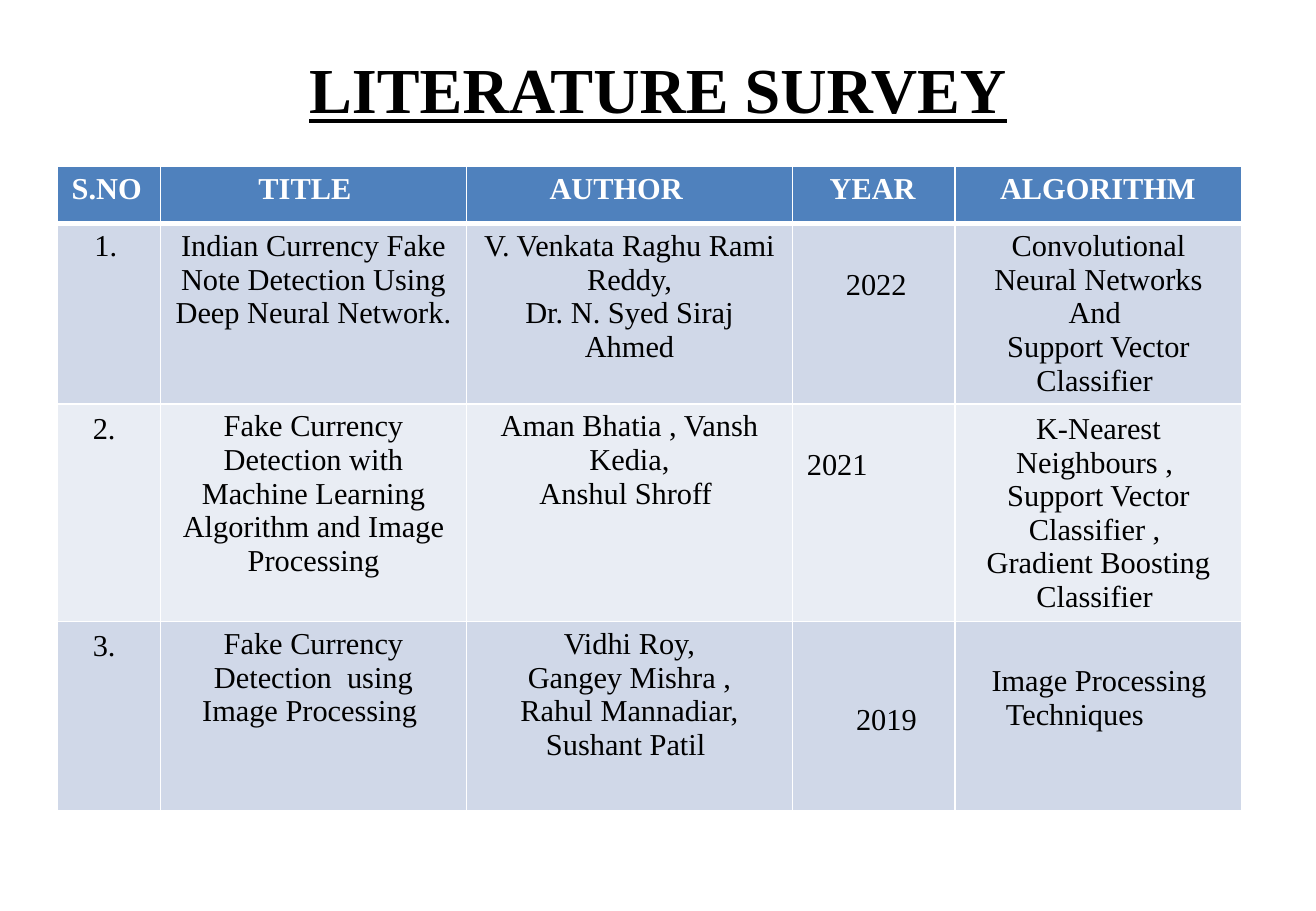
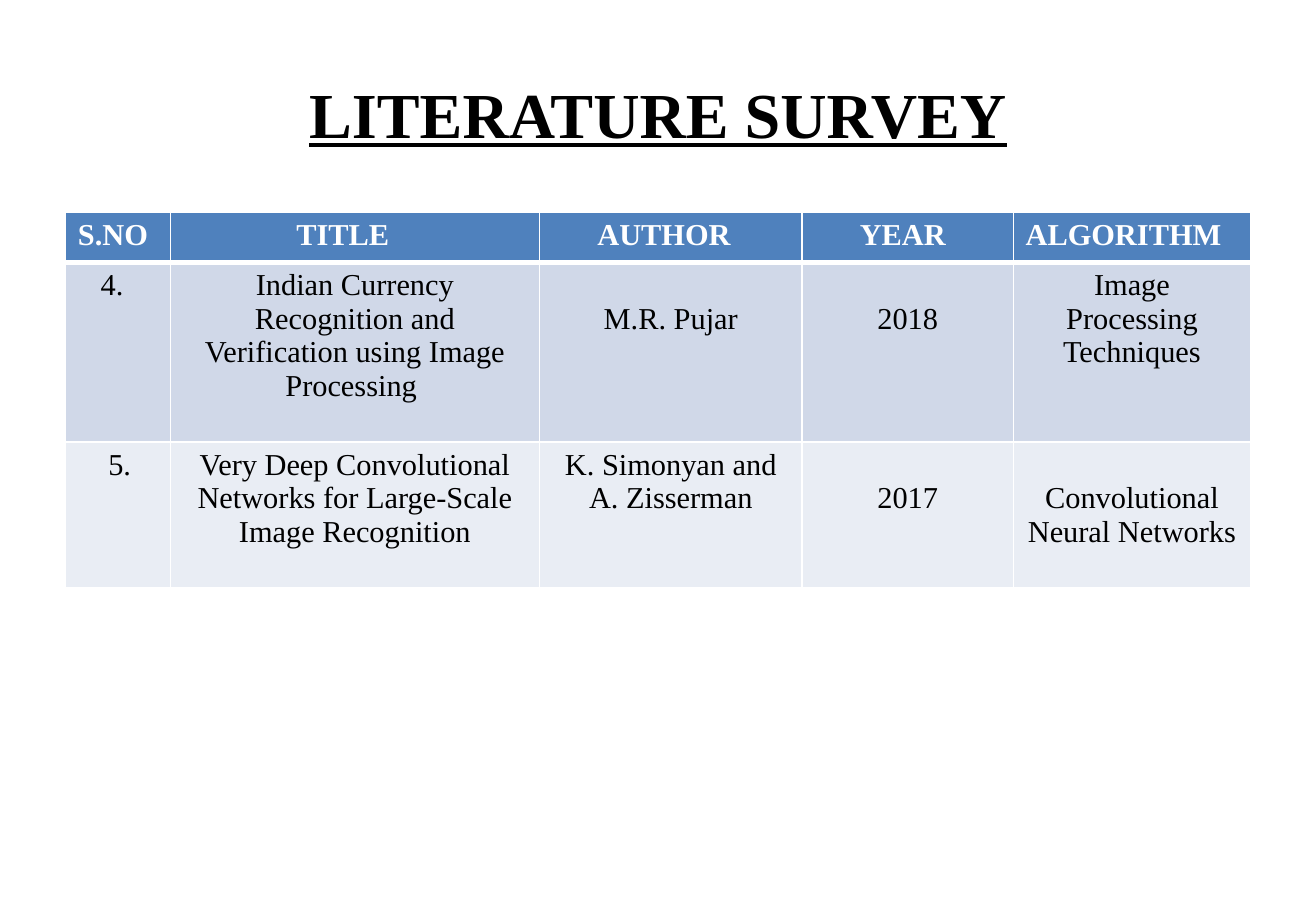
import dataclasses

import lxml.etree
import pptx
import pptx.dml.color
import pptx.enum.text
import pptx.oxml.ns
import pptx.util

ALIGN = pptx.enum.text.PP_ALIGN
COLOURS = {
    "black": "000000",
    "white": "FFFFFF",
    "header": "4F81BD",
    "odd row": "D0D8E8",
    "even row": "E9EDF4",
}


@dataclasses.dataclass
class Entry:
    """Cell text; indent, first line offset and drop are in points."""
    text: str
    indent: float = 0
    first_line: float = 0
    drop: float = 0
    align: int = ALIGN.CENTER


def left(text, indent=0, first_line=0, drop=0):
    return Entry(text, indent, first_line, drop, ALIGN.LEFT)


class Deck:
    """Shared style and the current slide; lengths are percent of the slide."""
    font = "Times New Roman"
    title_size = 38
    table_size = 18

    def __init__(self, width, height):
        self.presentation = pptx.Presentation()
        self.presentation.slide_width = pptx.util.Inches(width)
        self.presentation.slide_height = pptx.util.Inches(height)
        self.slide = None

    def across(self, percent):
        return round(self.presentation.slide_width * percent / 100)

    def down(self, percent):
        return round(self.presentation.slide_height * percent / 100)

    def colour(self, name):
        return pptx.dml.color.RGBColor.from_string(COLOURS[name])

    def format_runs(self, paragraph, size, colour, bold=False, underline=False):
        for run in paragraph.runs:
            run.font.name = self.font
            run.font.size = pptx.util.Pt(size)
            run.font.bold = bold
            run.font.underline = underline
            run.font.color.rgb = self.colour(colour)

    def add_slide(self, title, title_height):
        layout = self.presentation.slide_layouts[5]
        self.slide = self.presentation.slides.add_slide(layout)
        shape = self.slide.shapes.title
        shape.left, shape.top = self.across(5), self.down(4)
        shape.width, shape.height = self.across(90), self.down(title_height)
        text_frame = shape.text_frame
        text_frame.text = title
        text_frame.word_wrap = True
        text_frame.auto_size = pptx.enum.text.MSO_AUTO_SIZE.NONE
        text_frame.vertical_anchor = pptx.enum.text.MSO_ANCHOR.MIDDLE
        text_frame.margin_left = text_frame.margin_right = pptx.util.Inches(0.09)
        text_frame.margin_top = text_frame.margin_bottom = pptx.util.Inches(0.04)
        paragraph = text_frame.paragraphs[0]
        paragraph.alignment = ALIGN.CENTER
        self.format_runs(paragraph, self.title_size, "black", True, True)

    def add_table(self, x, y, columns, rows, entries, side_margin):
        table = self.slide.shapes.add_table(
            len(rows), len(columns), self.across(x), self.down(y),
            self.across(sum(columns)), self.down(sum(rows))).table
        for column, width in zip(table.columns, columns):
            column.width = self.across(width)
        for row, height in zip(table.rows, rows):
            row.height = self.down(height)
        for row_index, row_entries in enumerate(entries):
            for column_index, entry in enumerate(row_entries):
                cell = table.cell(row_index, column_index)
                cell.margin_left = cell.margin_right = pptx.util.Inches(side_margin)
                self.fill_cell(cell, entry, row_index)

    def fill_cell(self, cell, entry, row_index):
        if isinstance(entry, str):
            entry = Entry(entry)
        header = row_index == 0
        # Thick rule between the header and the first row
        self.add_border(cell, top=3 if row_index == 1 else 1,
                        bottom=3 if header else 1)
        cell.fill.solid()
        cell.fill.fore_color.rgb = self.colour(
            "header" if header else "odd row" if row_index % 2 else "even row")
        cell.margin_top = pptx.util.Inches(0.05) + pptx.util.Pt(entry.drop)
        cell.margin_bottom = pptx.util.Inches(0.05)
        cell.text_frame.text = entry.text
        for paragraph in cell.text_frame.paragraphs:
            paragraph.alignment = entry.align
            properties = paragraph._p.get_or_add_pPr()
            properties.set("marL", str(pptx.util.Pt(entry.indent)))
            properties.set("indent", str(pptx.util.Pt(entry.first_line)))
            self.format_runs(paragraph, self.table_size,
                             "white" if header else "black", header)

    def add_border(self, cell, top, bottom):
        name = pptx.oxml.ns.qn
        properties = cell._tc.get_or_add_tcPr()
        for side, width in (("L", 1), ("R", 1), ("T", top), ("B", bottom)):
            line = lxml.etree.SubElement(properties, name("a:ln" + side),
                                         w=str(pptx.util.Pt(width)))
            fill = lxml.etree.SubElement(line, name("a:solidFill"))
            lxml.etree.SubElement(fill, name("a:srgbClr"), val=COLOURS["white"])


def header_row(*indents):
    names = ("S.NO", "TITLE", "AUTHOR", "YEAR", "ALGORITHM")
    return [left(name, indent) for name, indent in zip(names, indents)]


def main():
    deck = Deck(10.83, 7.5)
    heading = "LITERATURE SURVEY"

    # Papers 1 to 3
    deck.add_slide(heading, 11.33)
    deck.add_table(
        4.34, 18.27,
        columns=(7.85, 23.27, 24.75, 12.37, 21.79),
        rows=(6.27, 19.73, 23.87, 20.8),
        side_margin=0.12,
        entries=[
            header_row(0, 49.5, 40.5, 13.5, 18),
            [left("1.", 13.5),
             "Indian Currency Fake Note Detection Using Deep Neural Network.",
             "V. Venkata Raghu Rami Reddy,\nDr. N. Syed Siraj Ahmed",
             Entry("2022", indent=3, drop=23),
             "Convolutional Neural Networks\nAnd \nSupport Vector Classifier "],
            [left("2.", 12.5, drop=1.5),
             "Fake Currency Detection with Machine Learning Algorithm "
             "and Image Processing",
             "Aman Bhatia , Vansh Kedia,\nAnshul Shroff ",
             left("2021", drop=23),
             Entry("K-Nearest Neighbours , \nSupport Vector Classifier , \n"
                   "Gradient Boosting Classifier ", drop=1.5)],
            [left("3.", 12.5, drop=1.5),
             "Fake Currency Detection  using Image Processing ",
             "Vidhi Roy,\nGangey Mishra ,\nRahul Mannadiar, Sushant Patil ",
             Entry("2019", indent=15, drop=45),
             left("Image Processing Techniques", 21.5, -8.5, drop=22)],
        ])

    # Papers 4 and 5
    deck.add_slide(heading, 16.67)
    deck.add_table(
        5, 23.33,
        columns=(7.94, 28.07, 19.94, 16.07, 18.01),
        rows=(5.47, 19.73, 16),
        side_margin=0.1,
        entries=[
            header_row(0, 67.5, 27, 27, 0),
            [left("4.", 13.5),
             "Indian Currency Recognition and Verification using "
             "Image Processing ",
             Entry("M.R. Pujar", drop=20),
             Entry("2018", drop=20),
             "Image Processing Techniques"],
            [left("5.", 18),
             "Very Deep Convolutional Networks for Large-Scale "
             "Image Recognition",
             "K. Simonyan and A. Zisserman",
             Entry("2017", drop=20),
             Entry("Convolutional Neural Networks", drop=20)],
        ])

    deck.presentation.save("out.pptx")


if __name__ == "__main__":
    main()
